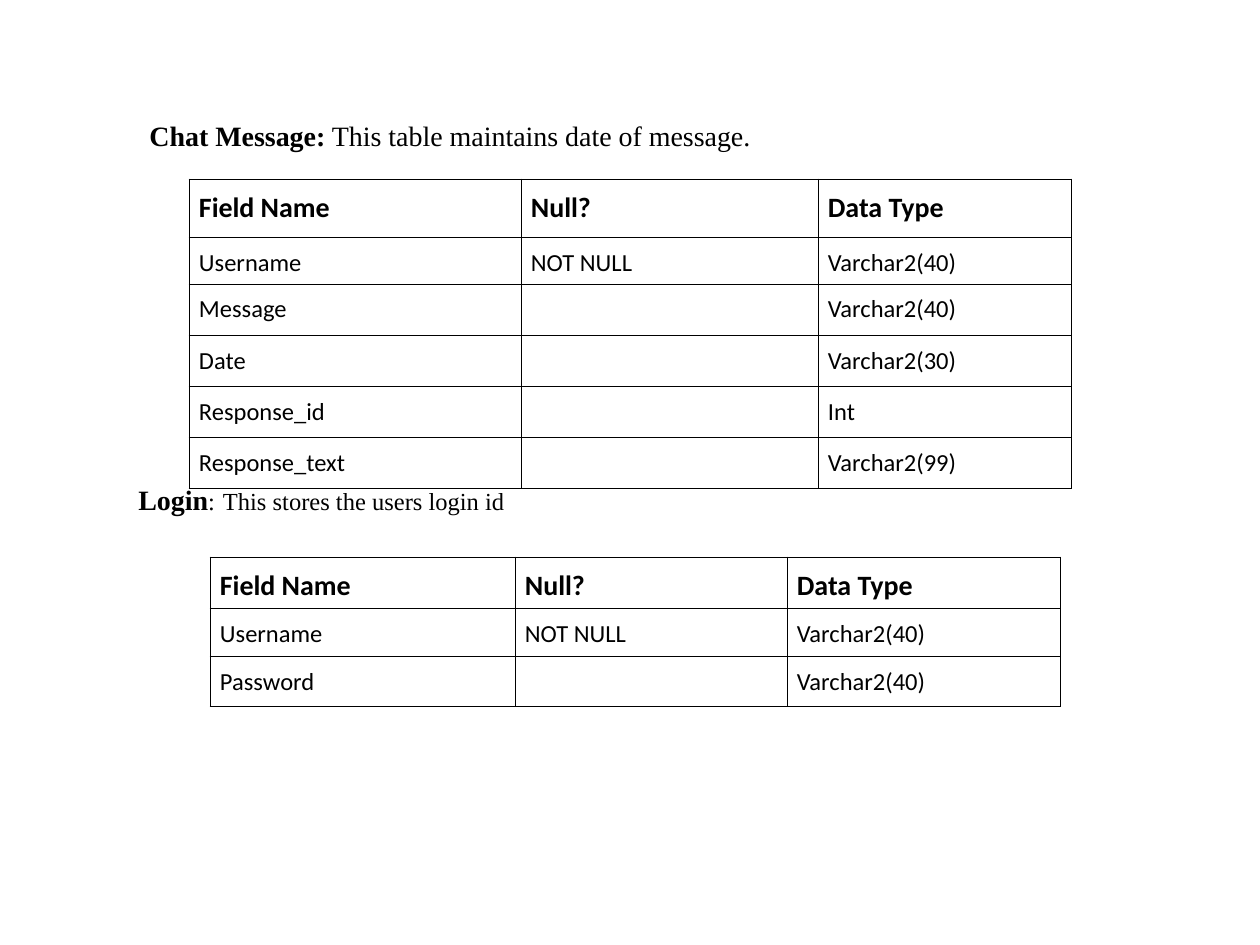
from dataclasses import dataclass

from lxml.etree import SubElement
from pptx import Presentation
from pptx.dml.color import RGBColor
from pptx.enum.text import PP_ALIGN as Align
from pptx.oxml.ns import qn
from pptx.util import Pt

PX = 914400 // 126


@dataclass(frozen=True)
class Theme:
    ink: str = "000000"
    caption_font: str = "Times New Roman"
    table_font: str = "Calibri"
    heading: int = 16
    body: int = 14
    gap: int = 18
    border: float = 0.45


class SlideBuilder:
    def __init__(self, slide, theme):
        self.slide = slide
        self.theme = theme

    def style(self, font, name, size, bold):
        font.name = name
        font.size = Pt(size)
        font.bold = bold
        font.color.rgb = RGBColor.from_string(self.theme.ink)

    def caption(self, left, top, width, height, runs, align=Align.LEFT):
        """Add a text box; each run is (text, size, bold)."""
        box = self.slide.shapes.add_textbox(*(n * PX for n in (left, top, width, height)))
        box.text_frame.word_wrap = True
        paragraph = box.text_frame.paragraphs[0]
        paragraph.alignment = align
        for text, size, bold in runs:
            run = paragraph.add_run()
            run.text = text
            self.style(run.font, self.theme.caption_font, size, bold)

    def border(self, cell):
        properties = cell._tc.get_or_add_tcPr()
        for side in ("lnL", "lnR", "lnT", "lnB"):
            line = SubElement(properties, qn(f"a:{side}"), w=str(Pt(self.theme.border)))
            fill = SubElement(line, qn("a:solidFill"))
            SubElement(fill, qn("a:srgbClr"), val=self.theme.ink)

    def cell(self, cell, text, header):
        self.border(cell)
        cell.fill.background()
        cell.margin_left = cell.margin_right = 10 * PX
        if not text:
            return
        cell.text = text
        paragraph = cell.text_frame.paragraphs[0]
        paragraph.line_spacing = 1.15
        paragraph.space_after = Pt(10)
        size = self.theme.heading if header else self.theme.body
        self.style(paragraph.font, self.theme.table_font, size, header)

    def table(self, left, top, widths, heights, rows):
        """Add a bordered table whose first row is the header."""
        table = self.slide.shapes.add_table(
            len(rows), len(widths), left * PX, top * PX,
            sum(widths) * PX, sum(heights) * PX).table
        table.first_row = table.horz_banding = False
        for column, width in zip(table.columns, widths):
            column.width = width * PX
        for index, (row, height, texts) in enumerate(zip(table.rows, heights, rows)):
            row.height = height * PX
            for cell, text in zip(row.cells, texts):
                self.cell(cell, text, header=index == 0)


HEADER = ("Field Name", "Null?", "Data Type")
USERNAME = ("Username", "NOT NULL", "Varchar2(40)")
MESSAGE_ROWS = [
    HEADER,
    USERNAME,
    ("Message", "", "Varchar2(40)"),
    ("Date", "", "Varchar2(30)"),
    ("Response_id", "", "Int"),
    ("Response_text", "", "Varchar2(99)"),
]
LOGIN_ROWS = [HEADER, USERNAME, ("Password", "", "Varchar2(40)")]


def main():
    presentation = Presentation()
    presentation.slide_width = 1260 * PX
    presentation.slide_height = 945 * PX
    slide = presentation.slides.add_slide(presentation.slide_layouts[6])
    theme = Theme()
    builder = SlideBuilder(slide, theme)

    builder.table(189, 179, (332, 297, 253), (58, 43, 42, 43, 43, 42), MESSAGE_ROWS)
    builder.caption(137, 112, 640, 45, [
        ("Chat Message:", theme.heading, True),
        (" This table maintains date of message.", theme.heading, False),
    ])
    builder.caption(126, 473, 514, 50, [
        ("Login", theme.heading, True),
        (":", theme.body, False),
        (" ", theme.gap, False),
        ("This stores the users login id", theme.body, False),
    ], Align.JUSTIFY)
    builder.table(210, 557, (305, 272, 273), (39, 48, 43), LOGIN_ROWS)

    presentation.save("out.pptx")


if __name__ == "__main__":
    main()
